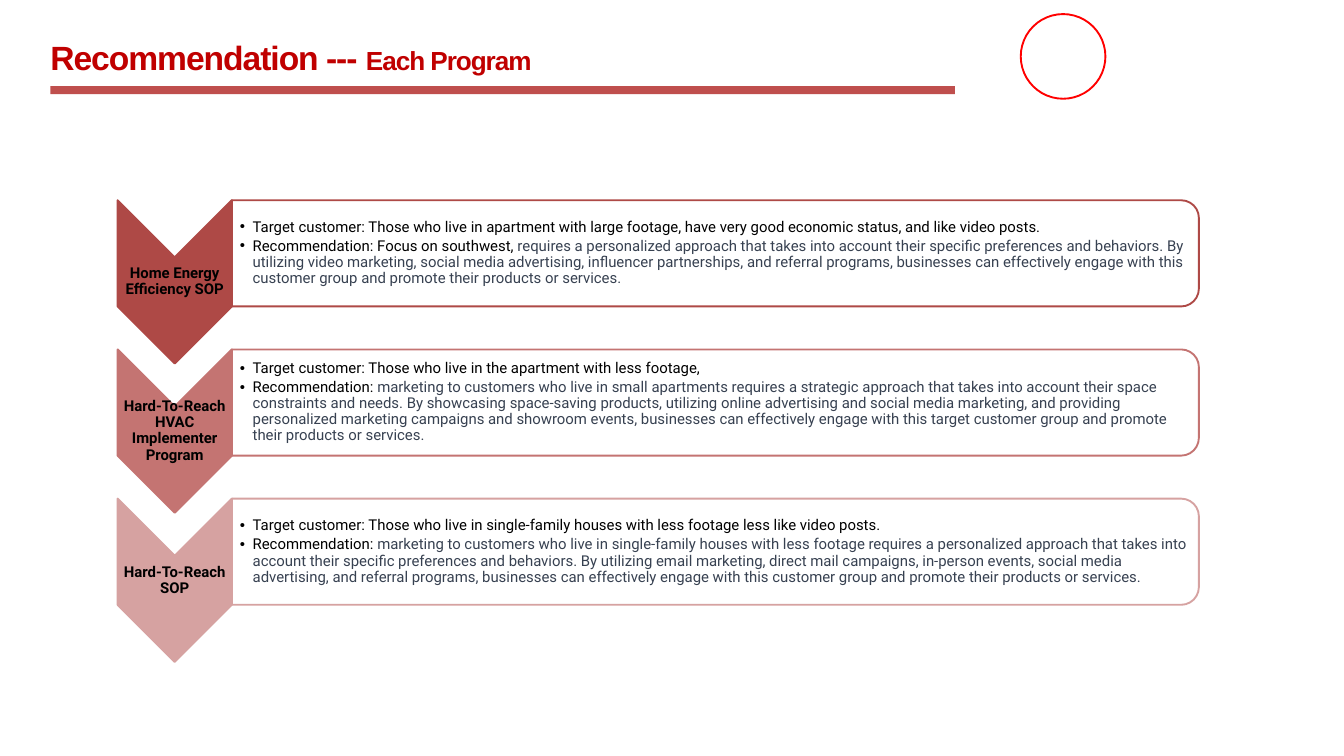
from pptx import Presentation
from pptx.dml.color import RGBColor
from pptx.enum.shapes import MSO_SHAPE
from pptx.enum.text import MSO_ANCHOR, PP_ALIGN
from pptx.oxml.ns import qn
from pptx.util import Inches, Pt
from lxml.etree import SubElement

TITLE = [("Recommendation --- ", 36), ("Each Program", 28)]
ROWS = [
    ("Home Energy Efficiency SOP", "AE4946",
     "Target customer: Those who live in apartment with large footage, have very good economic status, and like video posts.",
     "Recommendation: Focus on southwest, ",
     "requires a personalized approach that takes into account their specific preferences and behaviors. "
     "By utilizing video marketing, social media advertising, influencer partnerships, and referral programs, "
     "businesses can effectively engage with this customer group and promote their products or services."),
    ("Hard-To-Reach HVAC Implementer Program", "C47472",
     "Target customer: Those who live in the apartment with less footage, ",
     "Recommendation: ",
     "marketing to customers who live in small apartments requires a strategic approach that takes into account "
     "their space constraints and needs. By showcasing space-saving products, utilizing online advertising and "
     "social media marketing, and providing personalized marketing campaigns and showroom events, businesses can "
     "effectively engage with this target customer group and promote their products or services."),
    ("Hard-To-Reach SOP", "D6A2A1",
     "Target customer: Those who live in single-family houses with less footage less like video posts.",
     "Recommendation: ",
     "marketing to customers who live in single-family houses with less footage requires a personalized approach "
     "that takes into account their specific preferences and behaviors. By utilizing email marketing, direct mail "
     "campaigns, in-person events, social media advertising, and referral programs, businesses can effectively "
     "engage with this customer group and promote their products or services."),
]
WIDE, HIGH = 20, 11.25
LEFT, TOP, PITCH = 1.75, 2.98, 2.22
ARROW = (1.7, 2.43)
PANEL = (14.39, 1.58)
SPLIT = LEFT + ARROW[0]
BODY = {"size": Pt(16), "name": "Roboto"}
LABEL = {**BODY, "bold": True}
HEAD = {"name": "Arial", "bold": True}

deck = Presentation()
deck.slide_width, deck.slide_height = Inches(WIDE), Inches(HIGH)
slide = deck.slides.add_slide(deck.slide_layouts[6])


def paint(hue):
    return RGBColor.from_string(hue)


def shape(kind, box, fill=None, line=None, turn=0):
    left, top, wide, high = box
    if turn:
        left, top = left + (wide - high) / 2, top + (high - wide) / 2
        wide, high = high, wide
    item = slide.shapes.add_shape(kind, *map(Inches, (left, top, wide, high)))
    item.shadow.inherit = False
    item.rotation = turn
    if fill:
        item.fill.solid()
        item.fill.fore_color.rgb = paint(fill)
    else:
        item.fill.background()
    if line:
        item.line.color.rgb = paint(line)
        item.line.width = Pt(2)
    else:
        item.line.fill.background()
    return item


def text(box, pads, anchor=MSO_ANCHOR.TOP):
    frame = slide.shapes.add_textbox(*map(Inches, box)).text_frame
    sides = ("left", "top", "right", "bottom")
    marks = {f"margin_{side}": Inches(pad) for side, pad in zip(sides, pads)}
    for key, value in {**marks, "word_wrap": True, "vertical_anchor": anchor}.items():
        setattr(frame, key, value)
    return frame


def write(para, words, style, hue):
    run = para.add_run()
    run.text = words
    for key, value in style.items():
        setattr(run.font, key, value)
    run.font.color.rgb = paint(hue)
    return run


def bullet(para):
    props = para._p.get_or_add_pPr()
    props.set("marL", str(Inches(0.19)))
    props.set("indent", str(-Inches(0.19)))
    para.level = 1
    para.line_spacing = 0.9
    para.space_after = Pt(3)
    SubElement(props, qn("a:buFont"), typeface="Arial")
    SubElement(props, qn("a:buChar"), char="•")


shape(MSO_SHAPE.OVAL, (15.19, 0.21, 1.26, 1.26), line="FF0000")
shape(MSO_SHAPE.RECTANGLE, (0.75, 1.28, 13.46, 0.12), "BF4F4D")
para = text((0.75, 0.54, 9.36, 0.63), (0, 0.01, 0, 0)).paragraphs[0]
for words, size in TITLE:
    run = write(para, words, {**HEAD, "size": Pt(size)}, "C00000")
    run.font._element.set("spc", "-110")

for i, (name, hue, target, lead, advice) in enumerate(ROWS):
    top = TOP + i * PITCH
    shape(MSO_SHAPE.CHEVRON, (LEFT, top, *ARROW), hue, hue, 90)
    notch = ARROW[0] / 2
    box = (LEFT, top + notch, ARROW[0], ARROW[1] - 2 * notch)
    para = text(box, [0.01] * 4, MSO_ANCHOR.MIDDLE).paragraphs[0]
    para.alignment = PP_ALIGN.CENTER
    para.line_spacing = 0.9
    para.space_after = Pt(6.5)
    write(para, name, LABEL, "000000")

    panel = shape(MSO_SHAPE.ROUND_2_SAME_RECTANGLE, (SPLIT, top, *PANEL), "FFFFFF", hue, 90)
    tint = panel._element.spPr.find(qn("a:solidFill"))[0]
    SubElement(tint, qn("a:alpha"), val="90000")
    box = (SPLIT, top + 0.08, PANEL[0] - 0.08, PANEL[1] - 0.16)
    frame = text(box, (0.12, 0.01, 0.01, 0.01), MSO_ANCHOR.MIDDLE)
    first, second = frame.paragraphs[0], frame.add_paragraph()
    for para in (first, second):
        bullet(para)
    write(first, target, BODY, "000000")
    write(second, lead, BODY, "000000")
    write(second, advice, BODY, "374151")

deck.save("out.pptx")
